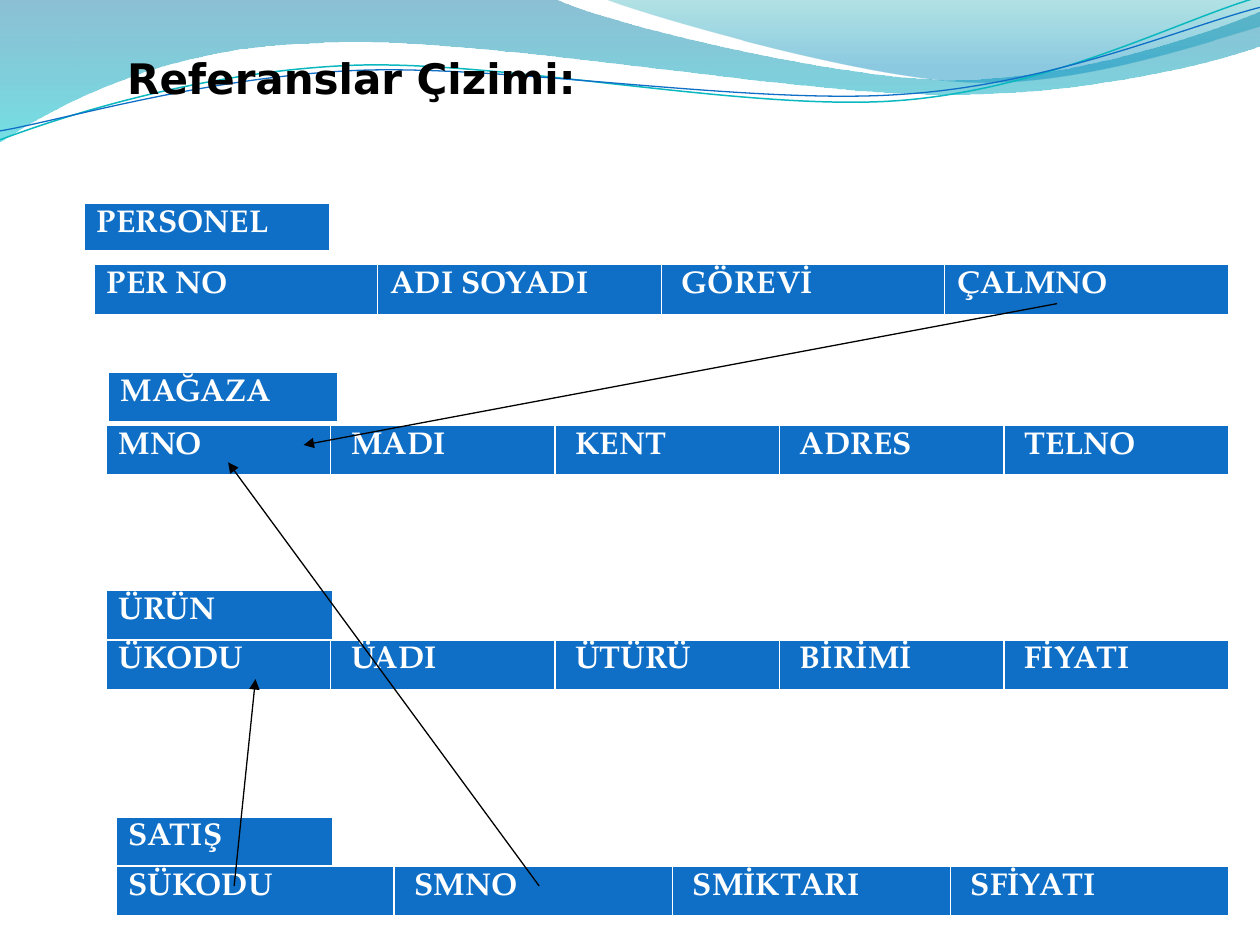
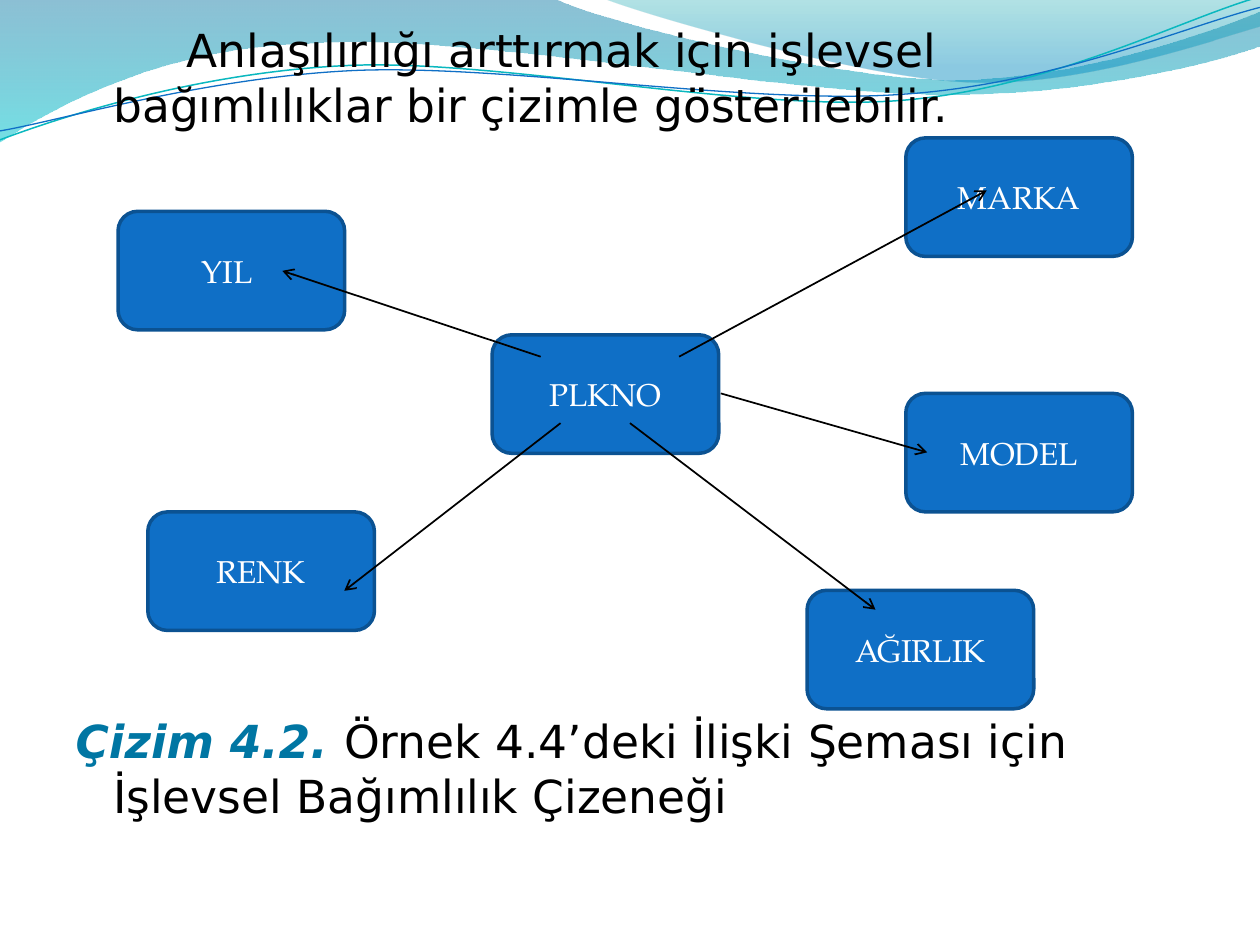
"""Build two slides on table references and functional dependencies."""
import lxml.etree
import pptx
import pptx.dml.color
import pptx.enum.shapes
import pptx.enum.text
import pptx.oxml.ns
import pptx.util

BLUE = pptx.dml.color.RGBColor(0x0F, 0x6F, 0xC6)
NAVY = pptx.dml.color.RGBColor(0x0B, 0x52, 0x92)
TEAL = pptx.dml.color.RGBColor(0x0A, 0xB8, 0xBF)
OCEAN = pptx.dml.color.RGBColor(0x00, 0x74, 0xA1)
AQUA = pptx.dml.color.RGBColor(0x00, 0xC6, 0xCF)
SEA = pptx.dml.color.RGBColor(0x00, 0xA1, 0xA9)
SKY = pptx.dml.color.RGBColor(0x00, 0x8B, 0xBF)
ACCENT = pptx.dml.color.RGBColor(0x00, 0x76, 0xA3)
BLACK = pptx.dml.color.RGBColor(0, 0, 0)
WHITE = pptx.dml.color.RGBColor(255, 255, 255)
SANS = "DejaVu Sans"
SERIF = "TeX Gyre Pagella"
qn = pptx.oxml.ns.qn


def style(para, face, size, color, bold=False):
    para.font.name = face
    para.font.size = pptx.util.Pt(size)
    para.font.color.rgb = color
    para.font.bold = bold


def arrow(slide, ends, width, head):
    link = slide.shapes.add_connector(
        pptx.enum.shapes.MSO_CONNECTOR.STRAIGHT, *[pptx.util.Cm(v) for v in ends])
    link.line.color.rgb = BLACK
    link.line.width = pptx.util.Pt(width)
    lxml.etree.SubElement(link.line._get_or_add_ln(), qn("a:tailEnd"), type=head)
    lxml.etree.SubElement(link.element.spPr, qn("a:effectLst"))


deck = pptx.Presentation()
deck.slide_width = pptx.util.Cm(25.4)
deck.slide_height = pptx.util.Cm(19.05)
refs = deck.slides.add_slide(deck.slide_layouts[5])
deps = deck.slides.add_slide(deck.slide_layouts[1])

waves = [
    ((0, 0),
     [[(11.18, -0.03)],
      [(12.09, 0.43), (16.87, 1.6), (19.25, 1.6)],
      [(21.67, 1.6), (24.33, 0.66), (25.4, 0.23)],
      [(25.43, 0.91)],
      [(24.97, 1.12), (22.1, 1.93), (18.95, 1.9)],
      [(15.8, 1.9), (9.7, 0.71), (6.53, 0.86)],
      [(3.28, 0.91), (1.17, 2.11), (-0.03, 2.87)]],
     [(0, OCEAN, 45), (1, AQUA, 55)], None),
    ((12.17, -0.03),
     [[(12.93, 0.28), (17.32, 1.57), (19.53, 1.65)],
      [(21.74, 1.75), (24.41, 0.81), (25.4, 0.53)],
      [(25.4, 0)]],
     [(0, SEA, 30), (0.8, SKY, 45)], None),
    ((0, 2.82),
     [[(1.22, 2.36), (4.01, 1.45), (7.04, 1.32)],
      [(10.03, 1.19), (15.06, 2.26), (18.11, 2.03)],
      [(21.16, 1.8), (23.83, 0.38), (25.35, -0.05)]],
     None, (TEAL, 0.85)),
    ((0, 2.64),
     [[(1.19, 2.44), (4.17, 1.55), (7.19, 1.42)],
      [(10.24, 1.3), (15.16, 2.13), (18.21, 1.9)],
      [(21.23, 1.7), (23.9, 0.53), (25.4, 0.15)]],
     None, (BLUE, 0.75)),
]
for rank, (start, steps, stops, line) in enumerate(waves):
    pen = refs.shapes.build_freeform(*[pptx.util.Cm(v) for v in start])
    pen.add_line_segments(
        [(pptx.util.Cm(x), pptx.util.Cm(y)) for x, y in [step[-1] for step in steps]],
        close=bool(stops))
    wave = pen.convert_to_shape()
    legs = list(wave.element.spPr.iter(qn("a:lnTo")))
    for leg, step in zip(legs, steps):
        if len(step) == 3:
            curve = lxml.etree.Element(qn("a:cubicBezTo"))
            for x, y in step:
                lxml.etree.SubElement(curve, qn("a:pt"),
                                      x=str(pptx.util.Cm(x) - wave.left),
                                      y=str(pptx.util.Cm(y) - wave.top))
            leg.getparent().replace(leg, curve)
    wave.shadow.inherit = False
    if stops:
        wave.line.fill.background()
        wave.fill.gradient()
        wave.fill.gradient_angle = 270
        for stop, (place, color, alpha) in zip(wave.fill.gradient_stops, stops):
            stop.position = place
            stop.color.rgb = color
        tints = wave.element.spPr.find(qn("a:gradFill")).iter(qn("a:srgbClr"))
        for tint, (place, color, alpha) in zip(tints, stops):
            lxml.etree.SubElement(tint, qn("a:alpha"), val=str(alpha * 1000))
    else:
        wave.fill.background()
        wave.line.color.rgb = line[0]
        wave.line.width = pptx.util.Pt(line[1])
    wave.element.nvSpPr.cNvPr.set("id", str(20 + rank))
    deck.slide_master.shapes.element.insert(2 + rank, wave.element)

title = refs.shapes.title
title.left, title.top = pptx.util.Cm(2.31), pptx.util.Cm(0.93)
title.width, title.height = pptx.util.Cm(21.79), pptx.util.Cm(1.27)
title.text_frame.text = "Referanslar Çizimi:"
title.text_frame.vertical_anchor = pptx.enum.text.MSO_ANCHOR.TOP
title.text_frame.paragraphs[0].alignment = pptx.enum.text.PP_ALIGN.LEFT
style(title.text_frame.paragraphs[0], SANS, 24, BLACK, True)

tables = [
    (1.9, 5.33, 22.86, ["PER NO", "ADI SOYADI", " GÖREVİ", "ÇALMNO"]),
    (1.7, 4.1, 4.95, ["PERSONEL"]),
    (2.18, 7.5, 4.62, ["MAĞAZA"]),
    (2.14, 8.57, 22.62, ["MNO", " MADI", " KENT", " ADRES", " TELNO"]),
    (2.14, 11.9, 4.57, ["ÜRÜN"]),
    (2.14, 12.9, 22.62, ["ÜKODU", " ÜADI", " ÜTÜRÜ", " BİRİMİ", " FİYATI"]),
    (2.34, 16.47, 4.37, ["SATIŞ"]),
    (2.34, 17.46, 22.43, ["SÜKODU", " SMNO", " SMİKTARI", " SFİYATI"]),
]
for left, top, width, names in tables:
    high = 0.99 if names == ["PERSONEL"] else 1.04
    grid = refs.shapes.add_table(
        1, len(names), pptx.util.Cm(left), pptx.util.Cm(top),
        pptx.util.Cm(width), pptx.util.Cm(high)).table
    for cell, name in zip(grid.iter_cells(), names):
        cell.text = name
        style(cell.text_frame.paragraphs[0], SERIF, 18, WHITE, True)
        props = cell._tc.get_or_add_tcPr()
        for side, size in (("L", 1), ("R", 1), ("T", 1), ("B", 3)):
            edge = lxml.etree.SubElement(
                props, qn("a:ln" + side), w=str(pptx.util.Pt(size)))
            paint = lxml.etree.SubElement(edge, qn("a:solidFill"))
            lxml.etree.SubElement(paint, qn("a:srgbClr"), val=str(WHITE))
        cell.fill.solid()
        cell.fill.fore_color.rgb = BLUE

for ends in [(21.31, 6.12, 6.12, 8.97),
             (10.87, 17.86, 4.6, 9.32),
             (4.72, 17.86, 5.15, 13.69)]:
    arrow(refs, ends, 0.75, "triangle")

title = deps.shapes.title
title.element.getparent().remove(title.element)
body = deps.placeholders[1]
body.left, body.top = pptx.util.Cm(1.27), pptx.util.Cm(0.32)
body.width, body.height = pptx.util.Cm(22.86), pptx.util.Cm(17.73)
body.text_frame.auto_size = pptx.enum.text.MSO_AUTO_SIZE.NONE
body.text_frame.text = ("Anlaşılırlığı arttırmak için işlevsel bağımlılıklar "
                        "bir çizimle gösterilebilir.")
intro = body.text_frame.paragraphs[0]
note = body.text_frame.add_paragraph()
label = note.add_run()
label.text = "Çizim 4.2. "
label.font.bold = label.font.italic = True
label.font.color.rgb = ACCENT
note.add_run().text = "Örnek 4.4’deki İlişki Şeması için İşlevsel Bağımlılık Çizeneği"
for para, indent, gap in ((intro, 1.48, 0), (note, -0.76, 332.5)):
    style(para, SANS, 26, BLACK)
    para.space_before = pptx.util.Pt(gap)
    props = para._p.get_or_add_pPr()
    props.set("marL", str(pptx.util.Cm(0.76)))
    props.set("indent", str(pptx.util.Cm(indent)))
    props.find(qn("a:spcBef")).addnext(lxml.etree.Element(qn("a:buNone")))

nodes = [("PLKNO", 9.92, 6.75), ("RENK", 2.98, 10.32), ("YIL ", 2.38, 4.26),
         ("AĞIRLIK", 16.27, 11.9), ("MODEL", 18.26, 7.93), ("MARKA", 18.26, 2.78)]
for name, left, top in nodes:
    node = deps.shapes.add_shape(
        pptx.enum.shapes.MSO_SHAPE.ROUNDED_RECTANGLE, pptx.util.Cm(left),
        pptx.util.Cm(top), pptx.util.Cm(4.57), pptx.util.Cm(2.39))
    node.shadow.inherit = False
    node.fill.solid()
    node.fill.fore_color.rgb = BLUE
    node.line.color.rgb = NAVY
    node.line.width = pptx.util.Pt(2)
    node.text_frame.text = name
    node.text_frame.vertical_anchor = pptx.enum.text.MSO_ANCHOR.MIDDLE
    node.text_frame.paragraphs[0].alignment = pptx.enum.text.PP_ALIGN.CENTER
    style(node.text_frame.paragraphs[0], SERIF, 18, WHITE)

for ends in [(13.69, 7.19, 19.89, 3.84),
             (14.53, 7.93, 18.69, 9.12),
             (12.7, 8.53, 17.65, 12.29),
             (10.9, 7.19, 5.69, 5.46),
             (11.3, 8.53, 6.94, 11.91)]:
    arrow(deps, ends, 1, "arrow")

deck.save("out.pptx")
